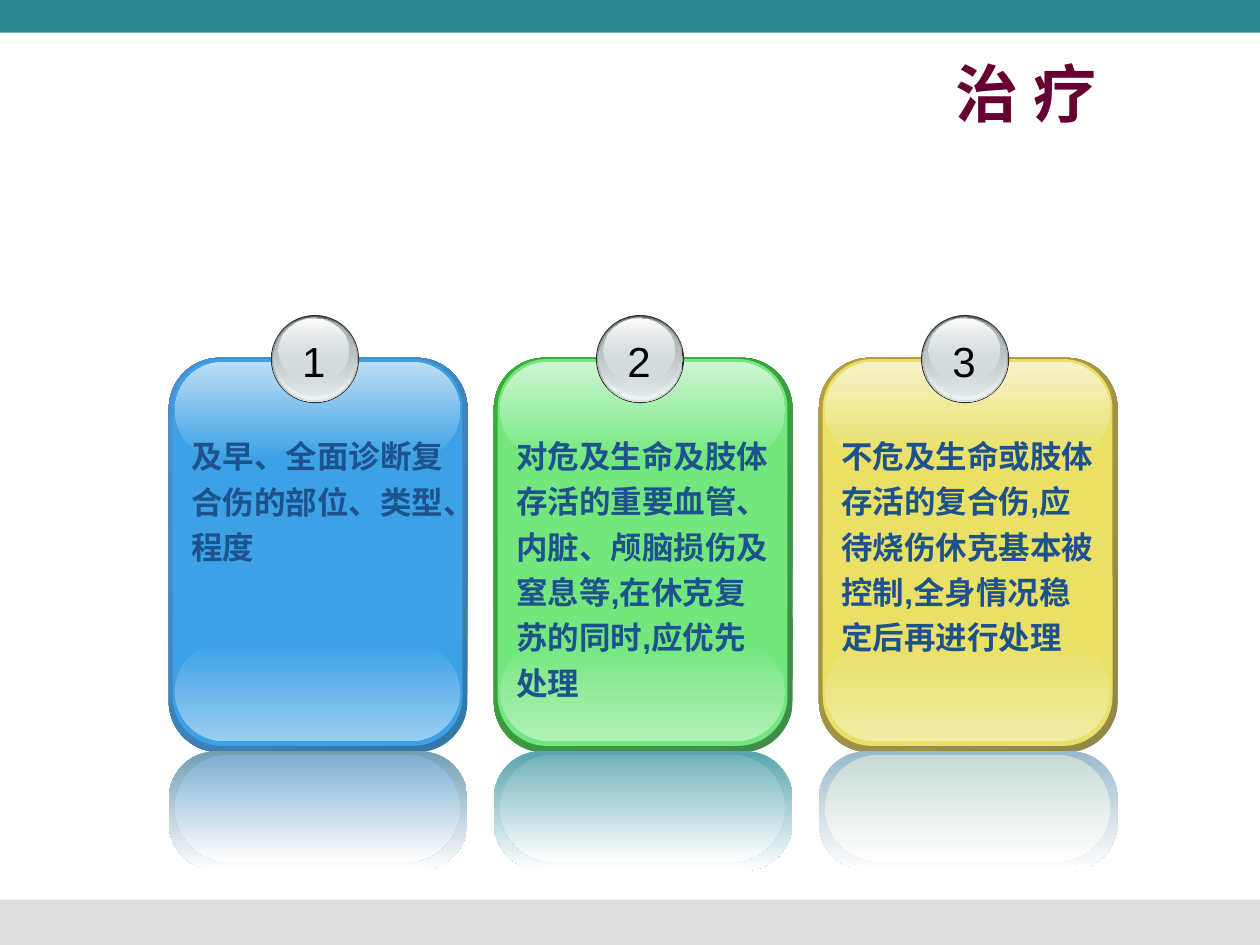
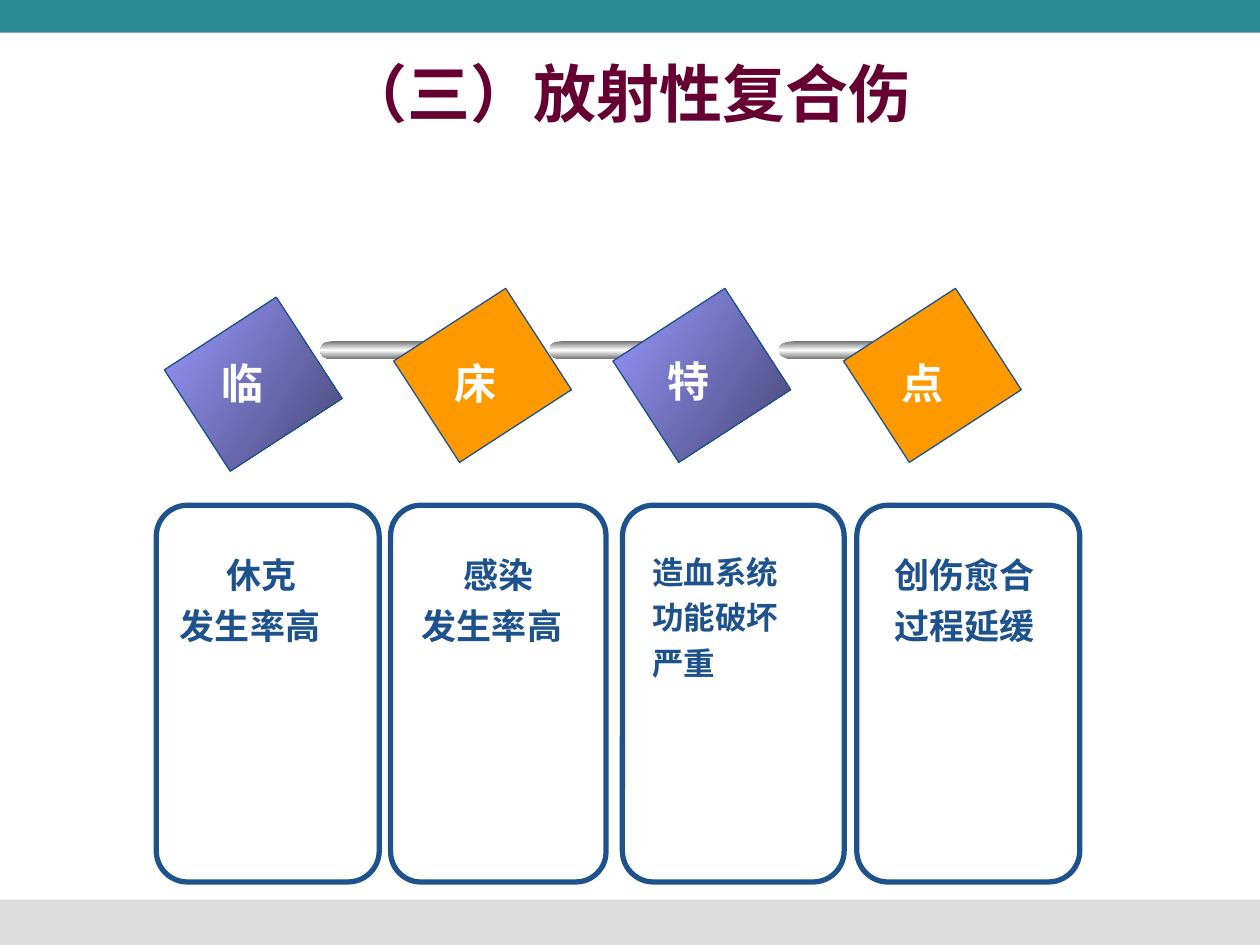
from dataclasses import dataclass

from lxml import etree
from pptx import Presentation
from pptx import util as u
from pptx.dml.color import RGBColor
from pptx.enum import shapes, text
from pptx.oxml import ns


@dataclass(frozen=True)
class Theme:
    band: str = "2B8A91"
    footer: str = "DDDDDD"
    title: str = "660033"
    ink: str = "1D528D"
    white: str = "FFFFFF"
    black: str = "000000"
    orange: str = "FF9900"
    violet: tuple = ("9999FF", "464675", 33)
    latin: str = "Arial"
    cjk: str = "Noto Sans CJK SC"
    title_size: int = 36
    label_size: int = 24
    large_size: int = 20
    body_size: int = 18


theme = Theme()
FORM = shapes.MSO_SHAPE
LEFT, CENTER, RIGHT = text.PP_ALIGN.LEFT, text.PP_ALIGN.CENTER, text.PP_ALIGN.RIGHT


def draw(target, form, at, fill=None, line=None, width=0.75, round_by=None, turn=0):
    shape = target.shapes.add_shape(form, *map(u.Inches, at))
    shape.shadow.inherit = False
    shape.rotation = turn
    if round_by is not None:
        shape.adjustments[0] = round_by
    if fill is None:
        shape.fill.background()
    elif isinstance(fill, str):
        shape.fill.solid()
        shape.fill.fore_color.rgb = RGBColor.from_string(fill)
    else:
        *colours, angle = fill
        gradient = etree.Element(ns.qn("a:gradFill"), rotWithShape="0")
        stops = etree.SubElement(gradient, ns.qn("a:gsLst"))
        for index, colour in enumerate(colours):
            rgb, _, opacity = colour.partition("/")
            place = 100000 * index // (len(colours) - 1)
            stop = etree.SubElement(stops, ns.qn("a:gs"), pos=str(place))
            tint = etree.SubElement(stop, ns.qn("a:srgbClr"), val=rgb)
            if opacity:
                etree.SubElement(tint, ns.qn("a:alpha"), val=str(int(opacity) * 1000))
        etree.SubElement(gradient, ns.qn("a:lin"), ang=str(angle * 60000), scaled="0")
        shape._element.spPr.find(ns.qn("a:prstGeom")).addnext(gradient)
    if line:
        shape.line.color.rgb = RGBColor.from_string(line)
        shape.line.width = u.Pt(width)
    else:
        shape.line.fill.background()
    return shape


def write(target, at, lines, size, colour, aligns=(LEFT,), bold=True,
          font=theme.latin, leading=None, insets=(0.1, 0.05, 0.1)):
    box = target.shapes.add_textbox(*map(u.Inches, at))
    frame = box.text_frame
    frame.word_wrap = len(lines[0]) > 1
    frame.margin_left, frame.margin_top, frame.margin_right = map(u.Inches, insets)
    for index, (line, align) in enumerate(zip(lines, aligns)):
        para = frame.add_paragraph() if index else frame.paragraphs[0]
        para.alignment = align
        if leading:
            para.line_spacing = u.Pt(round(size * leading, 1))
        span = para.add_run()
        span.text = line
        span.font.size = u.Pt(size)
        span.font.bold = bold
        span.font.name = font
        span.font.color.rgb = RGBColor.from_string(colour)
        asian = etree.SubElement(span._r.get_or_add_rPr(), ns.qn("a:ea"))
        asian.set("typeface", theme.cjk)
    return box


deck = Presentation()
deck.slide_width, deck.slide_height = u.Inches(10), u.Inches(7.5)

pages = []
for title, left, align, insets in [
    ("治 疗", 0.25, RIGHT, (0.1, 0.05, 0.22)),
    ("（三）放射性复合伤", 0.58, CENTER, (0.24, 0.05, 0.1)),
]:
    page = deck.slides.add_slide(deck.slide_layouts[6])
    draw(page, FORM.RECTANGLE, (0, 7.14, 10, 0.36), theme.footer)
    draw(page, FORM.RECTANGLE, (0, 0, 10, 0.26), theme.band)
    heading = write(page, (left, 0.42, 8.67, 0.62), [title], theme.title_size,
                    theme.title, [align], font=theme.cjk, insets=insets)
    heading.text_frame.vertical_anchor = text.MSO_ANCHOR.MIDDLE
    pages.append(page)

treatment, features = pages

cards = [
    ("及早、全面诊断复合伤的部位、类型、程度", 1.18,
     ("3477A4", "4E91D4"), "3CA1E6", "BDDEF5", "9ACDF1", "729EB4", "7DAFD4"),
    ("对危及生命及肢体存活的重要血管、内脏、颅脑损伤及窒息等,在休克复苏的同时,应优先处理", 2.26,
     ("3F8B4A", "34B034"), "73E77E", "CFF6D3", "B1F0B7", "58A4AE", "72B2BB"),
    ("不危及生命或肢体存活的复合伤,应待烧伤休克基本被控制,全身情况稳定后再进行处理", 1.9,
     ("8F8849", "B59F43"), "E9E065", "F6F3CA", "F1ECA5", "99BACC", "C8DAD4"),
]
badge_rings = [
    (0.81, 2.5, 0.7, 0.7, "333333"),
    (0.82, 2.51, 0.68, 0.68, ("626768", "D6E1E2", 90)),
    (0.83, 2.51, 0.66, 0.66, ("D6E1E2/0", "EFF3F3", 90)),
    (0.84, 2.52, 0.63, 0.62, ("A8B1B2", "D6E1E2/48", 90)),
    (0.87, 2.53, 0.56, 0.5, ("FEFEFE", "D6E1E2/38", 90)),
]
for index, (words, height, rim, face, shine, glow, mirror, mirror_face) in enumerate(cards):
    left = 1.34 + 2.58 * index
    card = treatment.shapes.add_group_shape()
    for dx, top, wide, high, fill, round_by in [
        (0, 2.84, 2.37, 3.13, (*rim, 225), 0.17),
        (0.03, 2.85, 2.3, 3.07, face, 0.17),
        (0.05, 5.1, 2.26, 0.78, (face, glow, 90), 0.5),
        (0.05, 2.87, 2.26, 0.77, (shine, face, 90), 0.5),
        (0, 5.96, 2.37, 0.95, (mirror, theme.white, 90), 0.4),
        (0.05, 5.99, 2.26, 0.85, (mirror_face, theme.white, 90), 0.5),
    ]:
        draw(card, FORM.ROUNDED_RECTANGLE, (left + dx, top, wide, high), fill, round_by=round_by)
    for dx, top, wide, high, fill in badge_rings:
        draw(card, FORM.OVAL, (left + dx, top, wide, high), fill)
    write(card, (left + 0.96, 2.6, 0.38, 0.5), [str(index + 1)], theme.label_size,
          theme.black, [CENTER], bold=False, leading=1.24)
    write(card, (left + 0.08, 3.33, 2.25, height), [words], theme.body_size,
          theme.ink, leading=1.44, insets=(0.1, 0.08, 0.1))

panels = [
    (1.24, 1.77, 1.33, 1.5, 0.9, ["休克", "发生率高"], theme.large_size, (CENTER, LEFT)),
    (3.1, 1.71, 3.25, 1.41, 1.24, ["感染", "发生率高"], theme.large_size, (CENTER, LEFT)),
    (4.94, 1.76, 5.08, 1.42, 1.18, ["造血系统功能破坏严重"], theme.body_size, (LEFT,)),
    (6.8, 1.77, 7, 1.33, 0.9, ["创伤愈合过程延缓"], theme.large_size, (LEFT,)),
]
for left, wide, text_left, text_wide, text_high, lines, size, aligns in panels:
    draw(features, FORM.ROUNDED_RECTANGLE, (left, 4.01, wide, 2.99),
         line=theme.ink, width=3, round_by=0.14)
    write(features, (text_left, 4.25, text_wide, text_high), lines, size, theme.ink,
          aligns, leading=1.44, insets=(0.1, 0.08, 0.1))

steel = ("757575", "FFFFFF", "757575", 90)
rod_parts = [
    (FORM.OVAL, 0, 2.71, 0.17, 0.14, None),
    (FORM.RECTANGLE, 0.09, 2.71, 0.82, 0.14, None),
    (FORM.OVAL, 0.84, 2.71, 0.15, 0.13, theme.white),
    (FORM.OVAL, 0.92, 2.75, 0.04, 0.04, None),
]
tiles = [
    ("临", 1.53, 2.52, theme.violet, 1.66, 2.75, None, 1),
    ("床", 3.35, 2.45, theme.orange, 3.51, 2.75, 2.54, 1),
    ("特", 5.09, 2.45, theme.violet, 5.2, 2.74, 4.36, 1),
    ("点", 6.92, 2.45, theme.orange, 7.06, 2.75, 6.18, 1.3),
]
chain = features.shapes.add_group_shape()
for label, left, top, fill, label_left, label_top, rod_left, stretch in tiles:
    if rod_left:
        for form, dx, rod_top, wide, high, line in rod_parts:
            draw(chain, form, (rod_left + dx * stretch, rod_top, wide * stretch, high),
                 steel, line, width=1)
    draw(chain, FORM.RECTANGLE, (left, top, 0.96, 1.06), fill, theme.ink, turn=57)
    write(features, (label_left, label_top, 0.61, 0.5), [label], theme.label_size,
          theme.white, leading=1.31)

deck.save("out.pptx")
